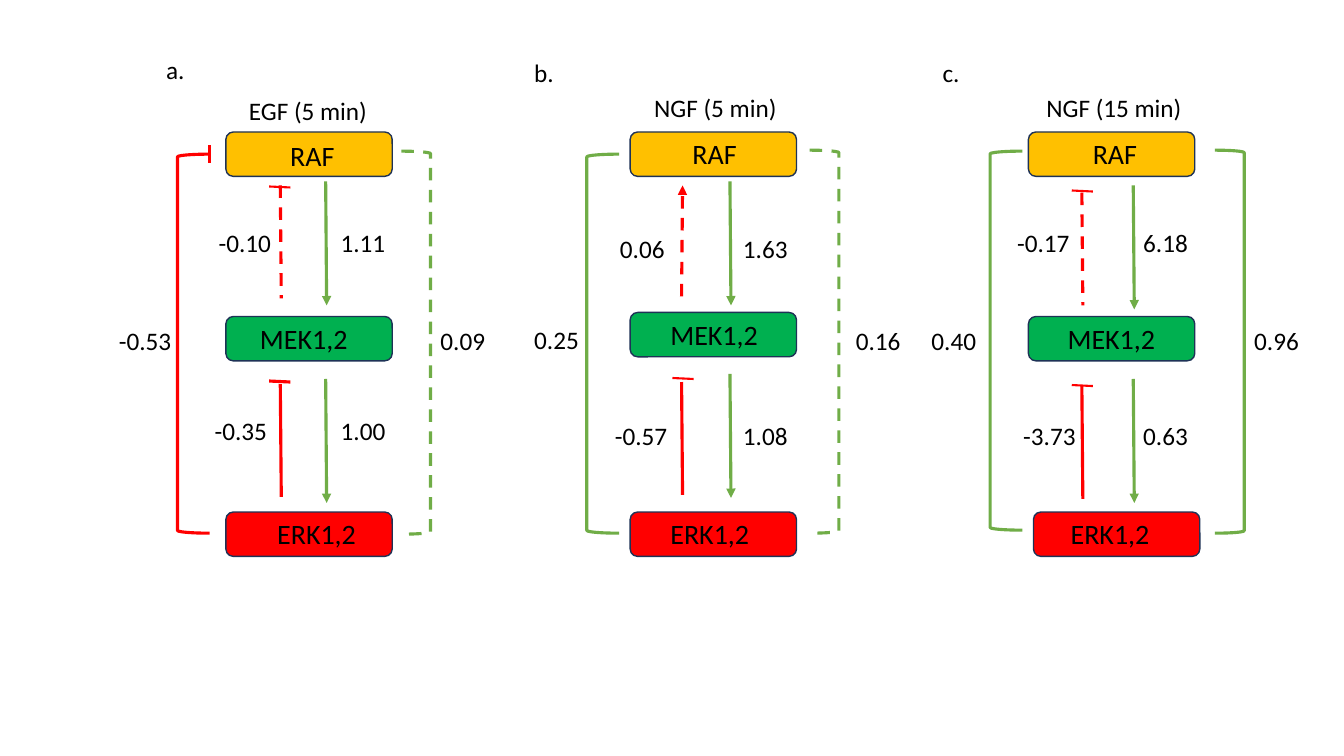
from pptx import Presentation
from pptx.dml.color import RGBColor
from pptx.enum.dml import MSO_LINE
from pptx.enum.shapes import MSO_CONNECTOR, MSO_SHAPE
from pptx.enum.text import MSO_AUTO_SIZE
from pptx.oxml.ns import qn
from pptx.util import Inches, Pt
from lxml import etree

BLACK, WHITE, NAVY = "000000", "FFFFFF", "1E3256"
RED, GREEN, AMBER, EMERALD = "FF0000", "70AD47", "FFC000", "00B050"
BOX_W, BOX_H = 1.65, 0.44
ACTIVATION_LEN, FEEDBACK_LEN, TILT = 1.23, 1.12, 0.01

prs = Presentation()
prs.slide_width, prs.slide_height = Inches(13.33), Inches(7.5)
s = prs.slides.add_slide(prs.slide_layouts[6])


def set_line(line, color, width, dashed=False):
    line.color.rgb = RGBColor.from_string(color)
    line.width = Pt(width)
    if dashed:
        line.dash_style = MSO_LINE.DASH


def add_line(x1, y1, x2, y2, color, width=2.25, dashed=False, arrow=False):
    ends = [Inches(v) for v in (x1, y1, x2, y2)]
    cn = s.shapes.add_connector(MSO_CONNECTOR.STRAIGHT, *ends)
    set_line(cn.line, color, width, dashed)
    if arrow:
        etree.SubElement(cn.line._get_or_add_ln(), qn("a:tailEnd"), type="triangle")
    etree.SubElement(cn._element.spPr, qn("a:effectLst"))


# Kinase boxes: left, top, fill, label, label left, label top, label width
kinases = [
    (2.24, 1.31, AMBER, "RAF", 2.78, 1.33, 0.9),
    (2.24, 3.14, EMERALD, "MEK1,2", 2.48, 3.14, 1.23),
    (2.24, 5.08, RED, "ERK1,2", 2.65, 5.08, 1.19),
    (6.25, 1.31, AMBER, "RAF", 6.77, 1.31, 0.9),
    (6.25, 3.1, EMERALD, "MEK1,2", 6.55, 3.1, 1.23),
    (6.25, 5.08, RED, "ERK1,2", 6.55, 5.08, 1.29),
    (10.2, 1.31, AMBER, "RAF", 10.74, 1.31, 0.9),
    (10.2, 3.14, EMERALD, "MEK1,2", 10.49, 3.14, 1.23),
    (10.25, 5.08, RED, "ERK1,2", 10.52, 5.08, 1.34),
]
# Long-range loops: shape, left, top, width, height, colour, dashed
LEFT, RIGHT = MSO_SHAPE.LEFT_BRACKET, MSO_SHAPE.RIGHT_BRACKET
loops = [
    (LEFT, 1.76, 1.53, 0.32, 3.76, RED, False),
    (LEFT, 5.82, 1.53, 0.32, 3.76, GREEN, False),
    (LEFT, 9.82, 1.5, 0.32, 3.76, GREEN, False),
    (RIGHT, 3.98, 1.5, 0.29, 3.8, GREEN, True),
    (RIGHT, 8.03, 1.49, 0.29, 3.8, GREEN, True),
    (RIGHT, 12.05, 1.49, 0.29, 3.8, GREEN, False),
]
outlines = [(MSO_SHAPE.ROUNDED_RECTANGLE, x, y, BOX_W, BOX_H, fill, NAVY, 1, False)
            for x, y, fill, *_ in kinases]
outlines += [(kind, x, y, w, h, WHITE, color, 2.25, dashed)
             for kind, x, y, w, h, color, dashed in loops]
for kind, x, y, w, h, fill, color, width, dashed in outlines:
    sp = s.shapes.add_shape(kind, Inches(x), Inches(y), Inches(w), Inches(h))
    sp.shadow.inherit = False
    sp.fill.solid()
    sp.fill.fore_color.rgb = RGBColor.from_string(fill)
    set_line(sp.line, color, width, dashed)

# Activation arrows between neighbouring kinases
for x, y in [(3.23, 1.8), (3.23, 3.76), (7.24, 1.8),
             (7.24, 3.71), (11.24, 1.84), (11.24, 3.76)]:
    add_line(x, y, x + TILT, y + ACTIVATION_LEN, GREEN, arrow=True)

# Inhibiting feedback: stem left, stem top, dashed, bar right, bar top, bar width
for x, y, dashed, bar_x, bar_y, bar_width in [
    (2.78, 1.84, True, 2.88, 1.86, 1.5),
    (2.78, 3.81, False, 2.88, 3.79, 2.25),
    (6.76, 3.79, False, 6.88, 3.76, 1.5),
    (10.73, 1.91, True, 10.84, 1.9, 1.5),
    (10.73, 3.83, False, 10.84, 3.83, 1.5),
]:
    add_line(x, y, x + TILT, y + FEEDBACK_LEN, RED, dashed=dashed)
    add_line(bar_x, bar_y, bar_x - 0.21, bar_y - TILT, RED, bar_width)
add_line(6.76, 2.94, 6.77, 1.84, RED, dashed=True, arrow=True)
add_line(2.08, 1.44, 2.08, 1.62, RED)

# Panel letters, stimuli and response coefficients: text, left, top, width
captions = [
    ("a.", 1.55, 0.49, 0.67), ("EGF (5 min)", 2.37, 0.9, 1.38),
    ("-0.53", 1.08, 3.18, 0.95), ("0.09", 4.27, 3.18, 0.95),
    ("-0.10", 2.07, 2.21, 0.81), ("1.11", 3.28, 2.21, 0.73),
    ("-0.35", 2.03, 4.07, 0.79), ("1.00", 3.28, 4.07, 0.78),
    ("b.", 5.2, 0.52, 0.66), ("NGF (5 min)", 6.39, 0.87, 1.62),
    ("0.25", 5.2, 3.17, 0.78), ("0.16", 8.39, 3.18, 1.03),
    ("0.06", 6.05, 2.27, 0.72), ("1.63", 7.27, 2.27, 1.06),
    ("-0.57", 6, 4.12, 1.1), ("1.08", 7.27, 4.12, 1.06),
    ("c.", 9.25, 0.52, 1), ("NGF (15 min)", 10.28, 0.87, 1.59),
    ("0.40", 9.14, 3.18, 0.78), ("0.96", 12.34, 3.18, 0.99),
    ("-0.17", 9.99, 2.21, 0.86), ("6.18", 11.24, 2.21, 0.99),
    ("-3.73", 10.05, 4.12, 0.75), ("0.63", 11.24, 4.12, 0.94),
]
labels = [(text, x, y, w, BOX_H, 20) for *_, text, x, y, w in kinases]
labels += [(*caption, 0.4, 18) for caption in captions]
for text, x, y, w, h, size in labels:
    tf = s.shapes.add_textbox(Inches(x), Inches(y), Inches(w), Inches(h)).text_frame
    tf.word_wrap = True
    tf.auto_size = MSO_AUTO_SIZE.SHAPE_TO_FIT_TEXT
    tf.text = text
    font = tf.paragraphs[0].runs[0].font
    font.name, font.size = "Calibri", Pt(size)
    font.color.rgb = RGBColor.from_string(BLACK)

prs.save("out.pptx")
